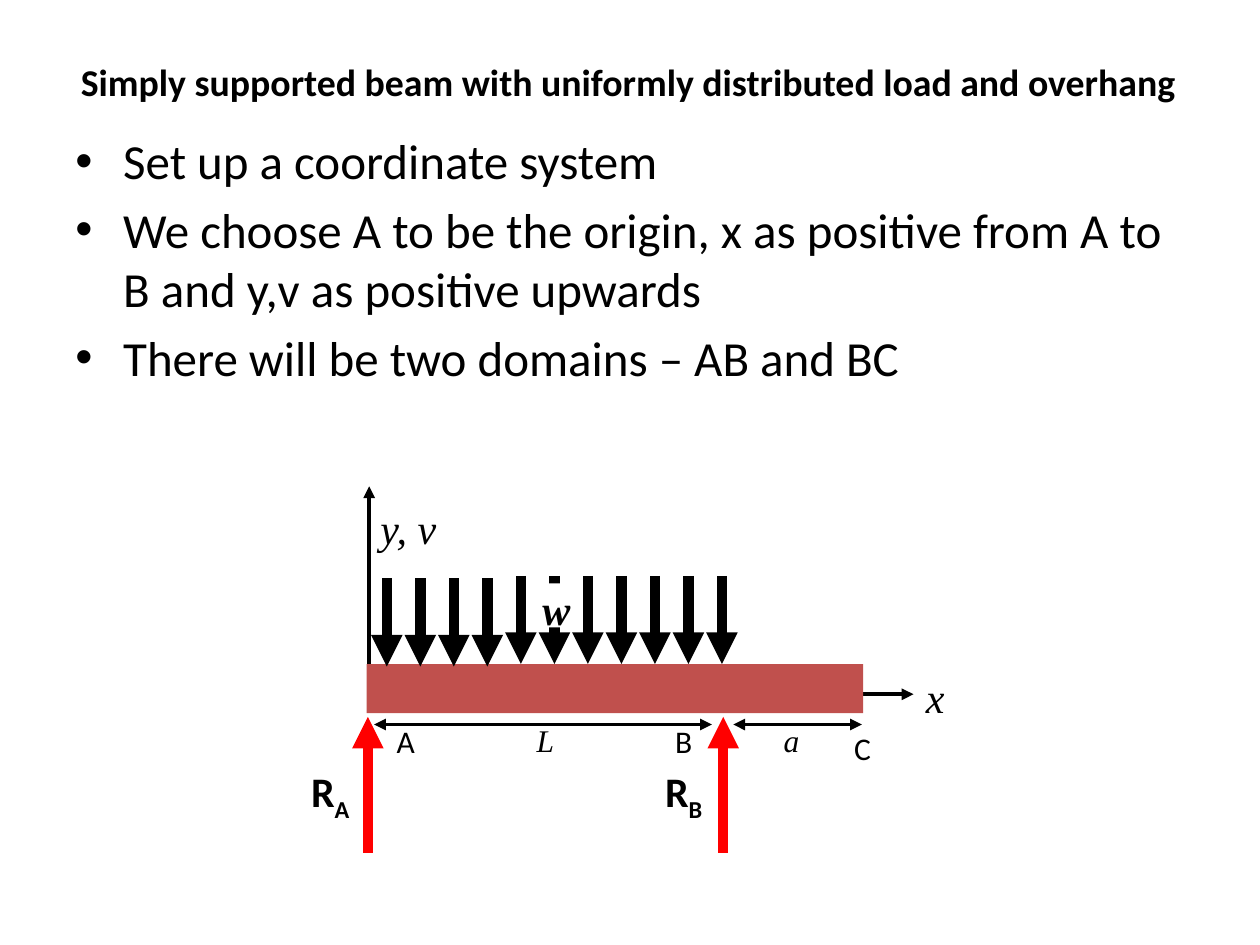
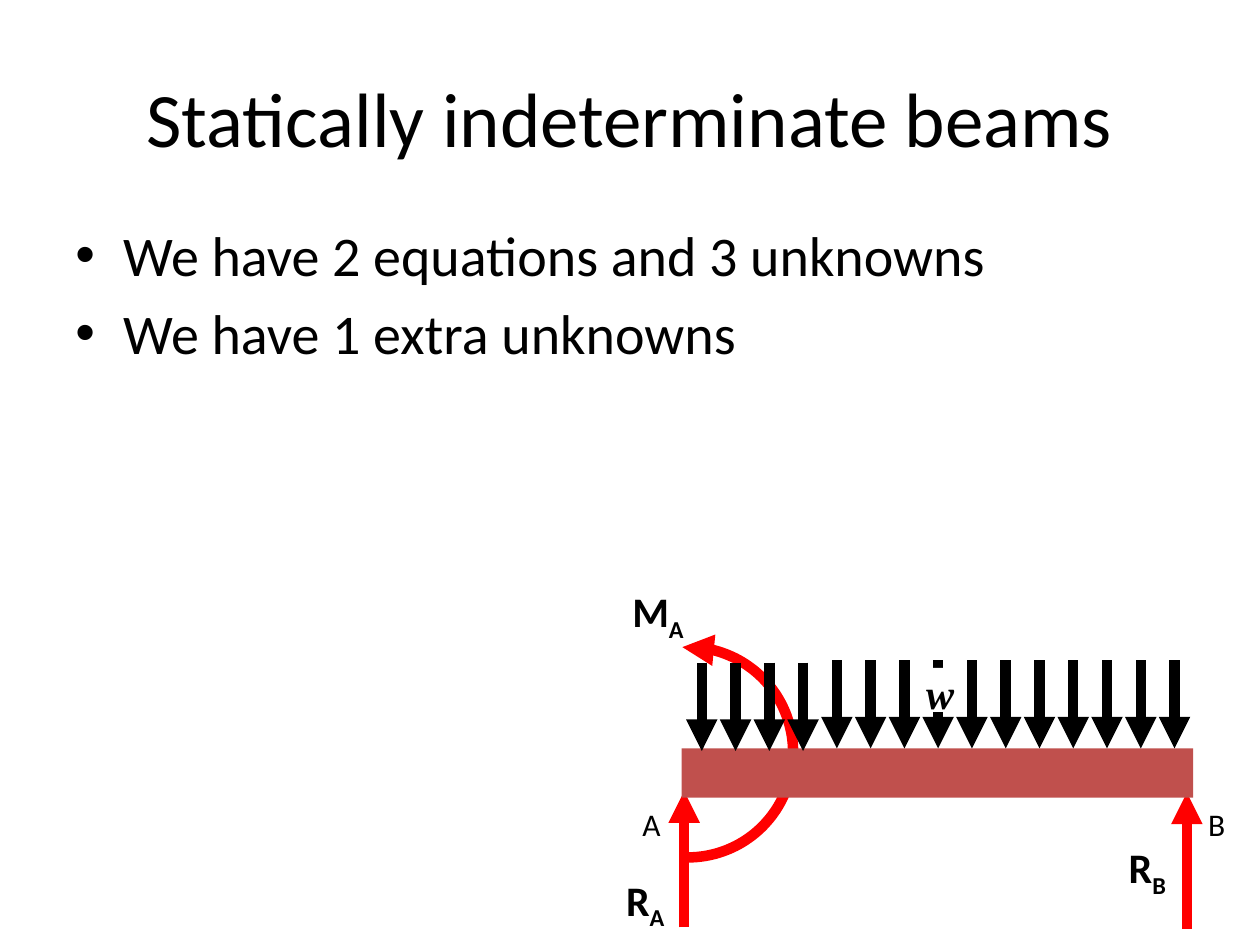
from math import cos, radians, sin

from lxml import etree
from pptx import Presentation
from pptx.dml.color import RGBColor
from pptx.enum.shapes import MSO_CONNECTOR, MSO_SHAPE
from pptx.enum.text import MSO_ANCHOR, PP_ALIGN
from pptx.oxml.ns import qn
from pptx.util import Inches, Pt

STRAIGHT = MSO_CONNECTOR.STRAIGHT
RECTANGLE = MSO_SHAPE.RECTANGLE
TOP, MIDDLE = MSO_ANCHOR.TOP, MSO_ANCHOR.MIDDLE
LEFT, CENTER = PP_ALIGN.LEFT, PP_ALIGN.CENTER

COLORS = {"ink": "000000", "paper": "FFFFFF", "force": "FF0000", "beam": "C0504D"}
SANS, SERIF = "Calibri", "Times New Roman"
THIN, THICK = 2.25, 6
BEAM_HEIGHT = 0.39
LOAD_INSET, LOAD_HEIGHT = 0.16, 0.7
LOWERED_LOADS, LOWERED_BY = 4, 0.02
REACTION_LENGTH = 1.08
PLATE_SIZE = 0.35
BULLET_INDENT = 0.38

# Label styles: font, size, bold, italic
STYLES = {
    "axis": (SERIF, 24, False, True),
    "length": (SERIF, 18, False, True),
    "point": (SANS, 18, False, False),
    "force": (SANS, 24, True, False),
    "load": (SERIF, 24, True, True),
}

# Everything in a diagram is measured from the top left corner of its beam.
# Labels: text, subscript, style, left, top, width
# Arrows: from, to, arrowhead at both ends
SLIDES = [
    {
        "title": "Simply supported beam with uniformly distributed load and overhang",
        "title_box": (0.46, 0.3, 9.06, 0.69),
        "title_style": (SANS, 21.6, True, False),
        "bullets": [
            "Set up a coordinate system",
            "We choose A to be the origin, x as positive from A to B and y,v as positive upwards",
            "There will be two domains – AB and BC",
        ],
        "body_box": (0.5, 0.99, 9, 5.71),
        "body_size": 28,
        "beam": (2.91, 5.27, 3.94),
        "loads": (11, 0.266),
        "reactions": [(0.01, 1.5), (2.83, 1.5)],
        "moment": None,
        "arrows": [
            ((0.02, 0.16), (0.02, -1.41), False),
            ((0.01, 0.24), (4.34, 0.24), False),
            ((0.06, 0.48), (2.74, 0.48), True),
            ((2.91, 0.48), (3.93, 0.48), True),
        ],
        "labels": [
            ("y, v", "", "axis", 0.01, -1.33, 0.79),
            ("x", "", "axis", 4.34, 0.01, 0.39),
            ("R", "A", "force", -0.54, 0.76, 0.59),
            ("R", "B", "force", 2.27, 0.76, 0.59),
            ("A", "", "point", 0.14, 0.41, 0.39),
            ("B", "", "point", 2.35, 0.41, 0.39),
            ("C", "", "point", 3.77, 0.47, 0.39),
            ("L", "", "length", 1.25, 0.4, 0.39),
            ("a", "", "length", 3.21, 0.4, 0.39),
        ],
    },
    {
        "title": "Statically indeterminate beams",
        "title_box": (0.5, 0.3, 9, 1.25),
        "title_style": (SANS, 44, False, False),
        "bullets": ["We have 2 equations and 3 unknowns", "We have 1 extra unknowns"],
        "body_box": (0.5, 1.7, 9, 4.95),
        "body_size": 32,
        "beam": (5.41, 5.94, 4.06),
        "loads": (15, 0.268),
        "reactions": [(0.02, 1.42), (4.01, 1.43)],
        "moment": {"center": (0.05, 0.03), "radius": 0.835, "angles": (-93, 91)},
        "arrows": [],
        "labels": [
            ("R", "A", "force", -0.54, 0.95, 0.59),
            ("M", "A", "force", -0.49, -1.34, 0.63),
            ("R", "B", "force", 3.45, 0.69, 0.59),
            ("A", "", "point", -0.41, 0.4, 0.39),
            ("B", "", "point", 4.08, 0.4, 0.39),
        ],
    },
]


def color(name):
    """Return a palette colour."""
    return RGBColor.from_string(COLORS[name])


def inches(values):
    """Turn a sequence of inches into lengths."""
    return [Inches(value) for value in values]


def set_font(paragraph, style):
    """Apply a font, size, bold, italic style to a paragraph."""
    font = paragraph.font
    font.name, size, font.bold, font.italic = style
    font.size = Pt(size)
    font.color.rgb = color("ink")


def add_text(shapes, box, text, style, align=LEFT, anchor=TOP):
    """Add a one-paragraph text box and return its paragraph."""
    frame = shapes.add_textbox(*inches(box)).text_frame
    frame.word_wrap = True
    frame.vertical_anchor = anchor
    paragraph = frame.paragraphs[0]
    paragraph.alignment = align
    paragraph.add_run().text = text
    set_font(paragraph, style)
    return paragraph


def add_bullets(shapes, box, lines, size):
    """Add a bulleted body text."""
    frame = shapes.add_textbox(*inches(box)).text_frame
    frame.word_wrap = True
    for index, line in enumerate(lines):
        paragraph = frame.add_paragraph() if index else frame.paragraphs[0]
        paragraph.text = line
        paragraph.space_before = Pt(size * 0.2)
        properties = paragraph._p.get_or_add_pPr()
        properties.set("marL", str(Inches(BULLET_INDENT)))
        properties.set("indent", str(-Inches(BULLET_INDENT)))
        etree.SubElement(properties, qn("a:buFont")).set("typeface", "Arial")
        etree.SubElement(properties, qn("a:buChar")).set("char", "•")
        set_font(paragraph, (SANS, size, False, False))


def style_line(shape, line_color, width, ends):
    """Colour a line and put triangles at the named ends."""
    shape.line.color.rgb = color(line_color)
    shape.line.width = Pt(width)
    line = shape.element.spPr.get_or_add_ln()
    for end in ends:
        etree.SubElement(line, qn(f"a:{end}")).set("type", "triangle")


def add_arrow(shapes, start, finish, line_color="ink", width=THIN, both=False):
    """Add a straight arrow pointing at its finish, or both ways."""
    connector = shapes.add_connector(STRAIGHT, *inches(start + finish))
    style_line(connector, line_color, width, ["headEnd", "tailEnd"] if both else ["tailEnd"])
    etree.SubElement(connector.element.spPr, qn("a:effectLst"))


def add_rectangle(shapes, box, fill):
    """Add a plain filled rectangle."""
    shape = shapes.add_shape(RECTANGLE, *inches(box))
    shape.shadow.inherit = False
    shape.fill.solid()
    shape.fill.fore_color.rgb = color(fill)
    shape.line.fill.background()
    return shape


def add_moment(shapes, center, radius, angles):
    """Add a circular moment arrow with its head at the first angle."""
    first, last = angles
    points = [
        (Inches(center[0] + radius * cos(radians(angle))),
         Inches(center[1] + radius * sin(radians(angle))))
        for angle in range(first, last + 1, 2)
    ]
    builder = shapes.build_freeform(*points[0])
    builder.add_line_segments(points[1:], close=False)
    arc = builder.convert_to_shape()
    arc.shadow.inherit = False
    arc.fill.background()
    style_line(arc, "force", THICK, ["headEnd"])


def add_loads(shapes, left, top, count, pitch):
    """Add the distributed load with its letter over the middle arrow."""
    for index in range(count):
        x = left + LOAD_INSET + index * pitch
        tip = top + (LOWERED_BY if index < LOWERED_LOADS else 0)
        add_arrow(shapes, (x, tip - LOAD_HEIGHT), (x, tip), width=THICK)
    middle = left + LOAD_INSET + count // 2 * pitch
    plate = add_rectangle(
        shapes, (middle - PLATE_SIZE / 2, top - 0.64, PLATE_SIZE, PLATE_SIZE), "paper")
    frame = plate.text_frame
    frame.margin_left = Inches(0.08)
    frame.margin_right = frame.margin_top = frame.margin_bottom = 0
    frame.vertical_anchor = TOP
    paragraph = frame.paragraphs[0]
    paragraph.text = "w"
    paragraph.alignment = LEFT
    set_font(paragraph, STYLES["load"])


def add_diagram(slide, content):
    """Draw the beam with its loads, reactions, arrows and labels."""
    shapes = slide.shapes.add_group_shape().shapes
    left, top, width = content["beam"]

    def place(point):
        """Move a point from beam to slide coordinates."""
        return left + point[0], top + point[1]

    for start, finish, both in content["arrows"]:
        add_arrow(shapes, place(start), place(finish), both=both)
    for x, foot in content["reactions"]:
        add_arrow(shapes, place((x, foot)), place((x, foot - REACTION_LENGTH)), "force", THICK)
    moment = content["moment"]
    if moment:
        add_moment(shapes, place(moment["center"]), moment["radius"], moment["angles"])
    add_rectangle(shapes, (left, top, width, BEAM_HEIGHT), "beam")
    add_loads(shapes, left, top, *content["loads"])
    for text, subscript, style, x, y, label_width in content["labels"]:
        height = 0.4 if STYLES[style][1] == 18 else 0.5
        paragraph = add_text(
            shapes, (*place((x, y)), label_width, height), text, STYLES[style])
        if subscript:
            run = paragraph.add_run()
            run.text = subscript
            run._r.get_or_add_rPr().set("baseline", "-25000")


presentation = Presentation()
presentation.slide_width, presentation.slide_height = inches((10, 7.5))
blank = presentation.slide_layouts[6]
for content in SLIDES:
    slide = presentation.slides.add_slide(blank)
    add_text(slide.shapes, content["title_box"], content["title"],
             content["title_style"], CENTER, MIDDLE)
    add_bullets(slide.shapes, content["body_box"], content["bullets"], content["body_size"])
    add_diagram(slide, content)
presentation.save("out.pptx")
